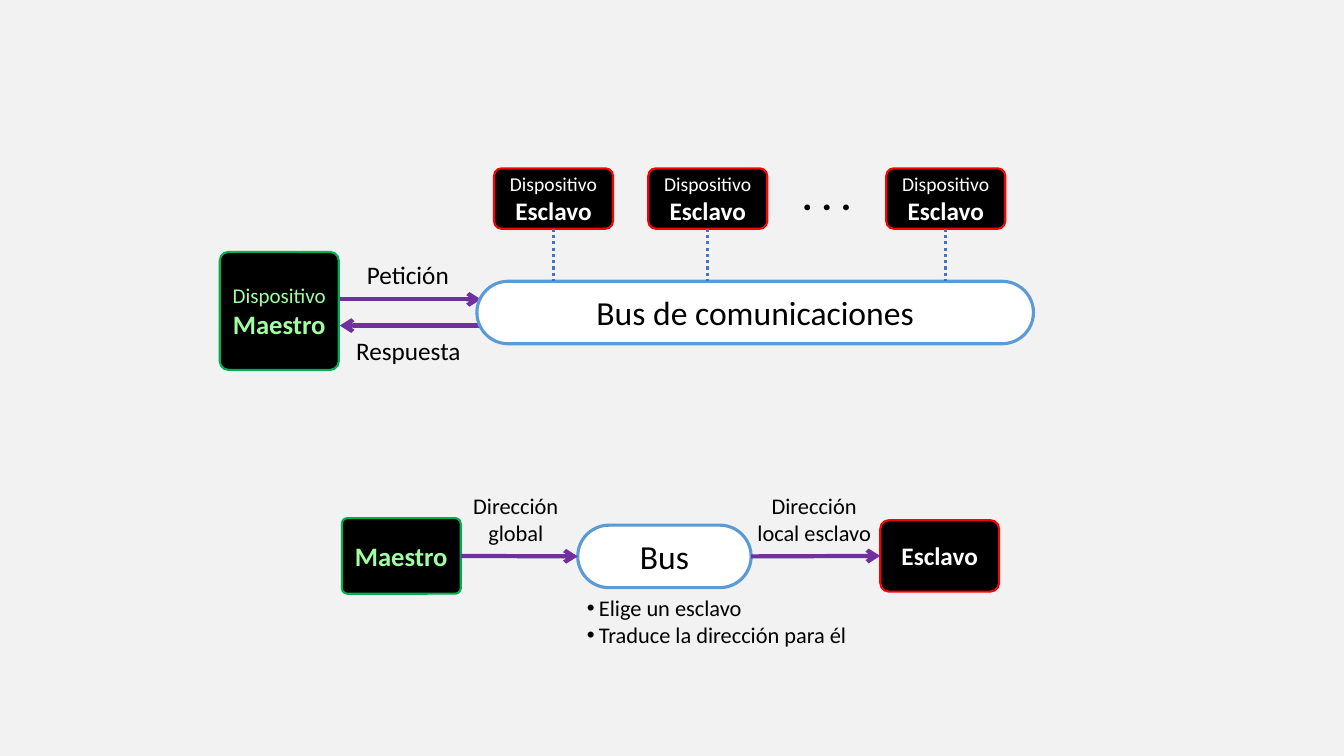
from dataclasses import dataclass

from lxml.etree import SubElement
from pptx import Presentation
from pptx.dml.color import RGBColor
from pptx.enum.dml import MSO_LINE
from pptx.enum.shapes import MSO_CONNECTOR, MSO_SHAPE
from pptx.enum.text import MSO_ANCHOR, MSO_AUTO_SIZE, PP_ALIGN
from pptx.oxml.ns import qn
from pptx.shapes.autoshape import Shape
from pptx.shapes.connector import Connector
from pptx.util import Pt

PX = 9144  # 100 px to the inch
FONT = "Calibri"
COLORS = {
    "background": "F2F2F2", "text": "000000", "white": "FFFFFF", "black": "000000",
    "master_text": "A0FFA0", "master_line": "00B050", "slave_line": "FF0000",
    "bus_line": "5B9BD5", "arrow": "7030A0", "dotted": "4472C4",
}
TOP, LEFT, BOTTOM, RIGHT = range(4)


@dataclass(frozen=True)
class Line:
    text: str
    size: int
    bold: bool = False


@dataclass(frozen=True)
class Style:
    fill: str
    line: str
    width: float
    text: str
    radius: float


@dataclass(frozen=True)
class Box:
    x: int
    y: int
    w: int
    h: int
    lines: tuple[Line, ...]


MASTER = Style("black", "master_line", 1.5, "master_text", 0.073)
SLAVE = Style("black", "slave_line", 1.5, "white", 0.125)
BUS = Style("white", "bus_line", 2.25, "text", 0.5)

SLAVE_LINES = (Line("Dispositivo", 14), Line("Esclavo", 18, True))
SLAVE_XS = (490, 643, 879)
LABELS = (
    Box(338, 328, 134, 40, (Line("Respuesta", 18),)),
    Box(345, 252, 119, 40, (Line("Petición", 18),)),
    Box(761, 165, 118, 57, (Line(". . .", 28, True),)),
    Box(452, 483, 119, 64, (Line("Dirección global", 16),)),
    Box(734, 483, 147, 64, (Line("Dirección local esclavo", 16),)),
)
BUS_TASKS = (Line("Elige un esclavo", 16), Line("Traduce la dirección para él", 16))


def rgb(name: str) -> RGBColor:
    return RGBColor.from_string(COLORS[name])


def write(sp: Shape, lines: tuple[Line, ...], color: str, align: PP_ALIGN) -> None:
    tf = sp.text_frame
    frame_format = {"word_wrap": True, "auto_size": MSO_AUTO_SIZE.NONE,
                    "vertical_anchor": MSO_ANCHOR.MIDDLE}
    for name, value in frame_format.items():
        setattr(tf, name, value)
    for i, line in enumerate(lines):
        p = tf.add_paragraph() if i else tf.paragraphs[0]
        p.alignment = align
        r = p.add_run()
        r.text = line.text
        run_format = {"name": FONT, "size": Pt(line.size), "bold": line.bold}
        for name, value in run_format.items():
            setattr(r.font, name, value)
        r.font.color.rgb = rgb(color)


def add_label(shapes, box: Box) -> None:
    sp = shapes.add_textbox(box.x * PX, box.y * PX, box.w * PX, box.h * PX)
    write(sp, box.lines, "text", PP_ALIGN.CENTER)


def add_device(shapes, box: Box, style: Style) -> Shape:
    sp = shapes.add_shape(MSO_SHAPE.ROUNDED_RECTANGLE,
                          box.x * PX, box.y * PX, box.w * PX, box.h * PX)
    sp.adjustments[0] = style.radius
    sp.shadow.inherit = False
    sp.fill.solid()
    sp.fill.fore_color.rgb = rgb(style.fill)
    sp.line.color.rgb = rgb(style.line)
    sp.line.width = Pt(style.width)
    write(sp, box.lines, style.text, PP_ALIGN.CENTER)
    return sp


def add_line(shapes, x1: int, y1: int, x2: int, y2: int,
             color: str, width: float) -> Connector:
    cxn = shapes.add_connector(MSO_CONNECTOR.STRAIGHT, x1 * PX, y1 * PX, x2 * PX, y2 * PX)
    cxn.line.color.rgb = rgb(color)
    cxn.line.width = Pt(width)
    SubElement(cxn._element.spPr, qn("a:effectLst"))
    return cxn


def add_arrow(shapes, x1: int, x2: int, y: int) -> Connector:
    cxn = add_line(shapes, x1, y, x2, y, "arrow", 3)
    SubElement(cxn.line._get_or_add_ln(), qn("a:tailEnd"), type="arrow")
    return cxn


def add_bus_overview(shapes) -> None:
    """Draw the master, the bus and the slaves hanging from it."""
    add_arrow(shapes, 337, 477, 297)
    add_arrow(shapes, 476, 337, 323)
    bus = Box(473, 279, 552, 62, (Line("Bus de comunicaciones", 24),))
    add_device(shapes, bus, BUS)
    master = Box(218, 250, 118, 117, (Line("Dispositivo", 15), Line("Maestro", 19, True)))
    add_device(shapes, master, MASTER)
    for x in SLAVE_XS:
        box = Box(x, 167, 118, 60, SLAVE_LINES)
        slave = add_device(shapes, box, SLAVE)
        middle = x + box.w // 2
        link = add_line(shapes, middle, box.y + box.h, middle, bus.y, "dotted", 2.25)
        link.line.dash_style = MSO_LINE.ROUND_DOT
        link.begin_connect(slave, BOTTOM)


def add_address_chain(shapes) -> None:
    """Draw the path of an address from master through bus to slave."""
    chain = (
        (Box(339, 514, 118, 75, (Line("Maestro", 19, True),)), MASTER),
        (Box(573, 521, 172, 62, (Line("Bus", 24),)), BUS),
        (Box(873, 516, 118, 71, (Line("Esclavo", 18, True),)), SLAVE),
    )
    devices = [add_device(shapes, box, style) for box, style in chain]
    for source, target in zip(devices, devices[1:]):
        arrow = add_arrow(shapes, 0, 1, 551)
        arrow.begin_connect(source, RIGHT)
        arrow.end_connect(target, LEFT)


def add_bus_tasks(body: Shape) -> None:
    place = {"left": 572, "top": 584, "width": 339, "height": 64}
    for name, value in place.items():
        setattr(body, name, value * PX)
    write(body, BUS_TASKS, "text", PP_ALIGN.LEFT)
    for p in body.text_frame.paragraphs:
        p.space_before = Pt(0)
        pPr = p._p.get_or_add_pPr()
        pPr.set("marL", str(12 * PX))
        pPr.set("indent", str(-12 * PX))
        SubElement(pPr, qn("a:buFont"), typeface="Arial")
        SubElement(pPr, qn("a:buChar"), char="•")


def main() -> None:
    prs = Presentation()
    prs.slide_width, prs.slide_height = 1333 * PX, 750 * PX
    s = prs.slides.add_slide(prs.slide_layouts[1])
    s.background.fill.solid()
    s.background.fill.fore_color.rgb = rgb("background")
    title = s.shapes.title._element
    title.getparent().remove(title)
    add_bus_overview(s.shapes)
    add_address_chain(s.shapes)
    for label in LABELS:
        add_label(s.shapes, label)
    add_bus_tasks(s.placeholders[1])
    prs.save("out.pptx")


if __name__ == "__main__":
    main()
